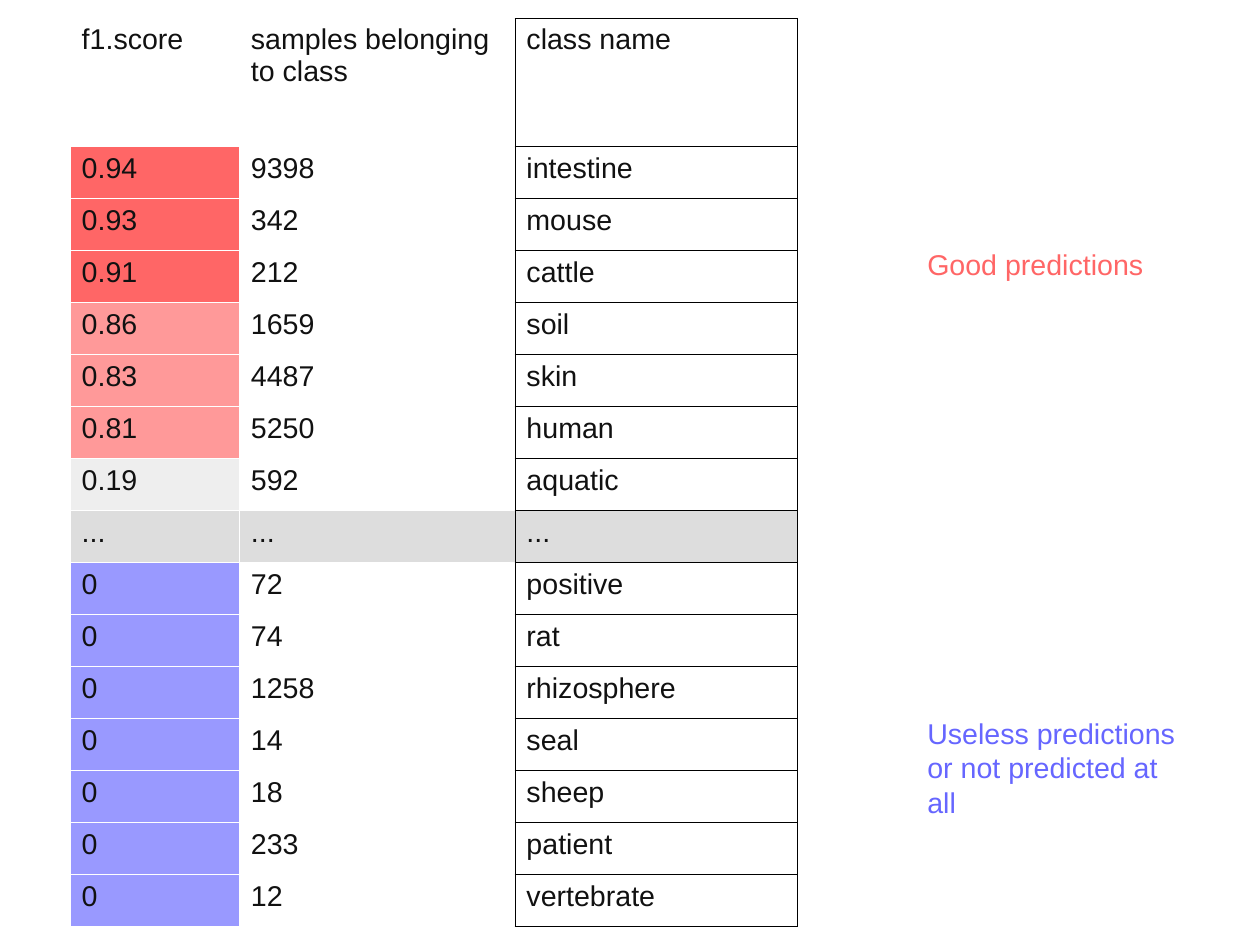
from lxml import etree
from pptx import Presentation
from pptx.dml.color import RGBColor
from pptx.enum.text import MSO_AUTO_SIZE, PP_ALIGN
from pptx.oxml.ns import qn
from pptx.util import Inches, Pt

JUSTIFY = PP_ALIGN.JUSTIFY
LEFT = PP_ALIGN.LEFT
GROW = MSO_AUTO_SIZE.SHAPE_TO_FIT_TEXT

WHITE = RGBColor(0xFF, 0xFF, 0xFF)
BLACK = RGBColor(0x00, 0x00, 0x00)
INK = RGBColor(0x11, 0x11, 0x11)
RED = RGBColor(0xFF, 0x66, 0x66)
PINK = RGBColor(0xFF, 0x99, 0x99)
PALE_GREY = RGBColor(0xEE, 0xEE, 0xEE)
GREY = RGBColor(0xDD, 0xDD, 0xDD)
LILAC = RGBColor(0x99, 0x99, 0xFF)
BLUE = RGBColor(0x66, 0x66, 0xFF)

GRID = 100
TABLE_LEFT, TABLE_TOP = 5.58, 1.93
COLUMN_SPANS = (13.43, 21.87, 22.41)
HEADER_SPAN, CLASS_SPAN = 13.55, 5.5

HEADINGS = ("f1.score", "samples belonging to class", "class name")
CLASSES = (
    ("0.94", "9398", "intestine"),
    ("0.93", "342", "mouse"),
    ("0.91", "212", "cattle"),
    ("0.86", "1659", "soil"),
    ("0.83", "4487", "skin"),
    ("0.81", "5250", "human"),
    ("0.19", "592", "aquatic"),
    ("...", "...", "..."),
    ("0", "72", "positive"),
    ("0", "74", "rat"),
    ("0", "1258", "rhizosphere"),
    ("0", "14", "seal"),
    ("0", "18", "sheep"),
    ("0", "233", "patient"),
    ("0", "12", "vertebrate"),
)
COLUMN_BORDERS = (
    {side: (WHITE, 1.13) for side in "LRTB"},
    {"L": (WHITE, 1.13), "R": (WHITE, 0.06), "T": (WHITE, 0.06), "B": (WHITE, 0.06)},
    {side: (BLACK, 0.57) for side in "LRTB"},
)


def score_fill(score):
    if score == "...":
        return GREY
    value = float(score)
    if value > 0.9:
        return RED
    if value > 0.8:
        return PINK
    return PALE_GREY if value > 0 else LILAC


def cell_fill(score, column):
    if score == HEADINGS[0]:
        return None
    return score_fill(score) if column == 0 or score == "..." else None


def apply_format(target, values):
    for name, value in values.items():
        setattr(target, name, value)


class ScoreSlide:
    font = {"name": "Arial", "size": Pt(18)}
    cell_format = {
        "margin_left": Inches(0.1), "margin_right": Inches(0.1),
        "margin_top": Inches(0.05), "margin_bottom": Inches(0.05),
    }
    note_format = {
        "margin_left": Inches(0.11), "margin_right": Inches(0.11),
        "margin_top": Inches(0.06), "margin_bottom": Inches(0.06),
        "word_wrap": False, "auto_size": GROW,
    }

    def __init__(self, deck):
        self.width, self.height = deck.slide_width, deck.slide_height
        self.slide = deck.slides.add_slide(deck.slide_layouts[6])

    def across(self, columns):
        return round(self.width * columns / GRID)

    def down(self, rows):
        return round(self.height * rows / GRID)

    def wording(self, paragraph, words, color):
        paragraph.text = words
        for run in paragraph.runs:
            apply_format(run.font, self.font)
            run.font.color.rgb = color

    def border(self, cell, sides):
        properties = cell._tc.get_or_add_tcPr()
        for side, (color, points) in sides.items():
            line = etree.SubElement(properties, qn(f"a:ln{side}"), w=str(Pt(points)))
            solid = etree.SubElement(line, qn("a:solidFill"))
            etree.SubElement(solid, qn("a:srgbClr"), val=str(color))

    def cell(self, cell, words, sides, fill):
        apply_format(cell, self.cell_format)
        self.wording(cell.text_frame.paragraphs[0], words, INK)
        self.border(cell, sides)
        if fill is None:
            cell.fill.background()
        else:
            cell.fill.solid()
            cell.fill.fore_color.rgb = fill

    def table(self, left, top, column_spans, row_spans, records):
        scores = self.slide.shapes.add_table(
            len(row_spans), len(column_spans),
            self.across(left), self.down(top),
            self.across(sum(column_spans)), self.down(sum(row_spans)),
        ).table
        apply_format(scores, {"first_row": False, "horz_banding": False})
        for column, span in zip(scores.columns, column_spans):
            column.width = self.across(span)
        for row, span, record in zip(scores.rows, row_spans, records):
            row.height = self.down(span)
            for index, words in enumerate(record):
                self.cell(row.cells[index], words, COLUMN_BORDERS[index],
                          cell_fill(record[0], index))

    def note(self, left, top, width, height, words, color, alignment):
        frame = self.slide.shapes.add_textbox(
            self.across(left), self.down(top), self.across(width), self.down(height)
        ).text_frame
        apply_format(frame, self.note_format)
        verdict = frame.paragraphs[0]
        verdict.alignment = alignment
        self.wording(verdict, words, color)


def main():
    deck = Presentation()
    apply_format(deck, {"slide_width": Inches(11.02), "slide_height": Inches(8.27)})
    page = ScoreSlide(deck)
    page.table(TABLE_LEFT, TABLE_TOP, COLUMN_SPANS,
               (HEADER_SPAN,) + (CLASS_SPAN,) * len(CLASSES), (HEADINGS,) + CLASSES)
    page.note(72.6, 25.4, 19.15, 4.84, "Good predictions", RED, JUSTIFY)
    page.note(72.6, 74.97, 23.14, 8.22,
              "Useless predictions\nor not predicted at all", BLUE, LEFT)
    deck.save("out.pptx")


if __name__ == "__main__":
    main()
